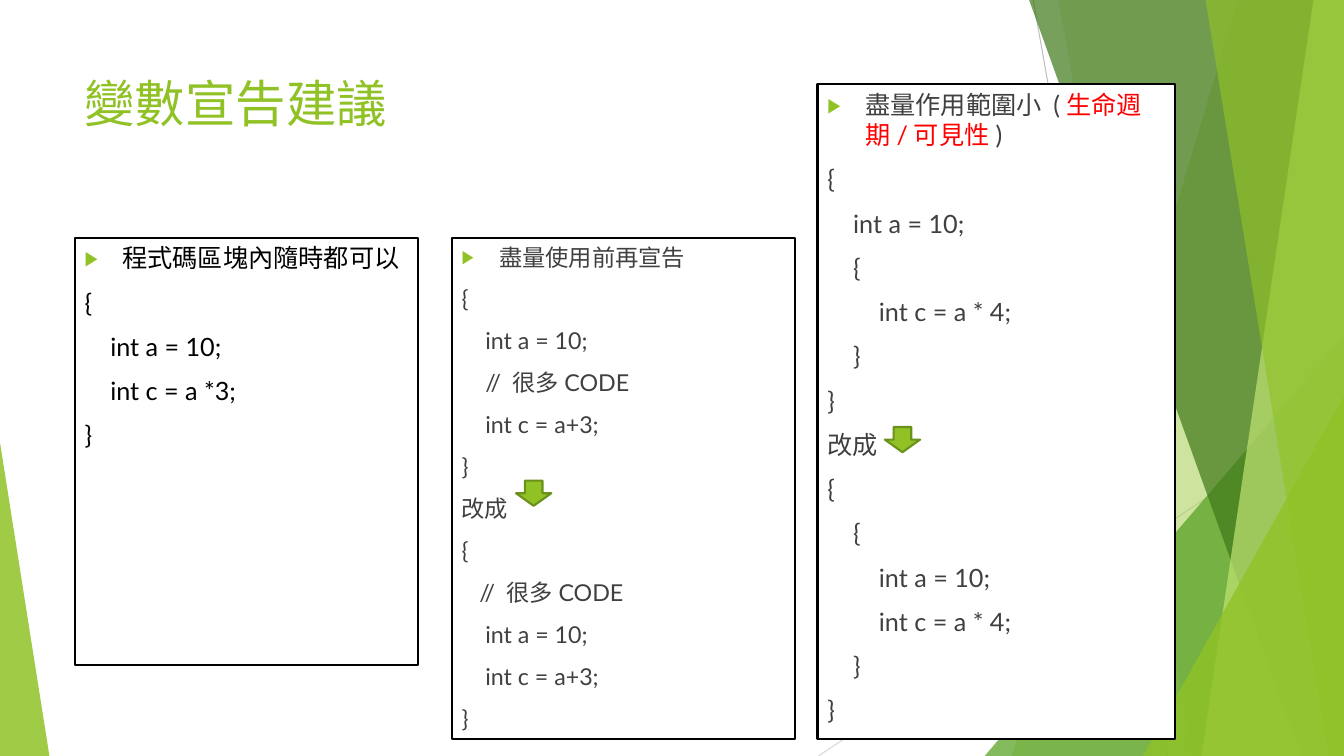
from lxml import etree
from pptx import Presentation
from pptx.dml.color import RGBColor
from pptx.enum.shapes import MSO_CONNECTOR, MSO_SHAPE
from pptx.enum.text import MSO_ANCHOR, PP_ALIGN
from pptx.oxml.ns import qn
from pptx.util import Pt

STRAIGHT = MSO_CONNECTOR.STRAIGHT
RECTANGLE = MSO_SHAPE.RECTANGLE
TRIANGLE = MSO_SHAPE.ISOSCELES_TRIANGLE
DOWN_ARROW = MSO_SHAPE.DOWN_ARROW
TOP = MSO_ANCHOR.TOP
LEFT = PP_ALIGN.LEFT

WIDTH, HEIGHT = 960, 540
GREEN = "90C226"
BLACK = "000000"
GREY = "404040"
RED = "FF0000"

FACETS_BACK = [
    (884.2, 722.9, GREEN, 30),
    (756, 851.8, GREEN, 20),
]
FACETS_FRONT = [
    (735.1, 929.5, "3F7819", 70),
    (938.2, 858.2, "C0E474", 70),
    (861.1, 949, GREEN, 65),
]

ANYWHERE_CODE = """{
    int a = 10;
    int c = a *3;
}"""

LATE_CODE = """{
    int a = 10;
    // 很多CODE
    int c = a+3;
}
改成
{
   // 很多CODE
    int a = 10;
    int c = a+3;
}"""

SCOPE_CODE = """{
    int a = 10;
    {
        int c = a * 4;
    }
}
改成
{
    {
        int a = 10;
        int c = a * 4;
    }
}"""


def color(value):
    return RGBColor.from_string(value)


class FacetSlide:
    font = "Lato"
    bullet = "▶"
    indent = 27
    gap = 10
    border = 1.5

    def __init__(self, slide):
        self.shapes = slide.shapes

    def paint(self, shape, fill, opacity=100, line=None):
        shape.shadow.inherit = False
        shape.fill.solid()
        shape.fill.fore_color.rgb = color(fill)
        if opacity < 100:
            tint = shape.element.spPr.find(qn("a:solidFill")).find(qn("a:srgbClr"))
            etree.SubElement(tint, qn("a:alpha"), val=str(opacity * 1000))
        if line:
            shape.line.color.rgb = color(line)
            shape.line.width = Pt(self.border)
        else:
            shape.line.fill.background()

    def ray(self, x1, y1, x2, y2, tone):
        ray = self.shapes.add_connector(STRAIGHT, Pt(x1), Pt(y1), Pt(x2), Pt(y2))
        ray.line.color.rgb = color(tone)
        ray.line.width = Pt(0.75)
        etree.SubElement(ray.element.spPr, qn("a:effectLst"))

    def facet(self, top_x, bottom_x, tone, opacity):
        outline = self.shapes.build_freeform(Pt(top_x), Pt(0))
        corners = [(WIDTH, 0), (WIDTH, HEIGHT), (bottom_x, HEIGHT)]
        outline.add_line_segments([(Pt(x), Pt(y)) for x, y in corners], close=True)
        self.paint(outline.convert_to_shape(), tone, opacity)

    def wedge(self, left, top, width, apex, tone, opacity):
        wedge = self.shapes.add_shape(
            TRIANGLE, Pt(left), Pt(top), Pt(width), Pt(HEIGHT - top))
        wedge.adjustments[0] = apex
        self.paint(wedge, tone, opacity)

    def add_text(self, paragraph, text, size, tone):
        paragraph.alignment = LEFT
        run = paragraph.add_run()
        run.text = text
        run.font.name = self.font
        run.font.size = Pt(size)
        run.font.color.rgb = color(tone)

    def title(self, left, top, width, height, text):
        frame = self.shapes.add_textbox(
            Pt(left), Pt(top), Pt(width), Pt(height)).text_frame
        frame.word_wrap = True
        self.add_text(frame.paragraphs[0], text, 36, GREEN)

    def add_bullet(self, paragraph):
        props = paragraph._p.get_or_add_pPr()
        props.set("marL", str(Pt(self.indent)))
        props.set("indent", str(-Pt(self.indent)))
        bullet_color = etree.SubElement(props, qn("a:buClr"))
        etree.SubElement(bullet_color, qn("a:srgbClr"), val=GREEN)
        etree.SubElement(props, qn("a:buSzPct"), val="80000")
        etree.SubElement(props, qn("a:buFont"), typeface=self.font)
        etree.SubElement(props, qn("a:buChar"), char=self.bullet)

    def panel(self, left, top, width, height, size, tone, advice, code):
        panel = self.shapes.add_shape(
            RECTANGLE, Pt(left), Pt(top), Pt(width), Pt(height))
        self.paint(panel, "FFFFFF", line=BLACK)
        frame = panel.text_frame
        frame.word_wrap = True
        frame.vertical_anchor = TOP
        heading = frame.paragraphs[0]
        self.add_bullet(heading)
        for text, text_tone in advice:
            self.add_text(heading, text, size, text_tone)
        for code_line in code.splitlines():
            paragraph = frame.add_paragraph()
            paragraph.space_before = Pt(self.gap)
            self.add_text(paragraph, code_line, size, tone)

    def down_arrow(self, left, top):
        arrow = self.shapes.add_shape(DOWN_ARROW, Pt(left), Pt(top), Pt(25.2), Pt(18))
        self.paint(arrow, GREEN, line="6B901C")


def main():
    deck = Presentation()
    deck.slide_width, deck.slide_height = Pt(WIDTH), Pt(HEIGHT)
    page = FacetSlide(deck.slides.add_slide(deck.slide_layouts[6]))

    page.ray(738, 0, 833.8, HEIGHT, "BFBFBF")
    page.ray(WIDTH, 290.2, 584.6, HEIGHT, "D9D9D9")
    for facet in FACETS_BACK:
        page.facet(*facet)
    page.wedge(703.4, 239.8, 256.6, 1, "54A021", 72)
    for facet in FACETS_FRONT:
        page.facet(*facet)
    page.wedge(816.5, 283, 143.5, 1, GREEN, 80)
    page.wedge(0, 316.1, 35.3, 0, GREEN, 85)

    page.title(53.3, 48.2, 676.8, 103.7, "變數宣告建議")
    page.panel(53.3, 169.9, 245, 305.3, 18, BLACK,
               [("程式碼區塊內隨時都可以", BLACK)], ANYWHERE_CODE)
    page.panel(322.6, 169.9, 245, 357.8, 16.6, GREY,
               [("盡量使用前再宣告", GREY)], LATE_CODE)
    page.panel(584, 60.2, 255.4, 467.5, 18, GREY,
               [("盡量作用範圍小 (", GREY), ("生命週期/可見性", RED), (")", GREY)],
               SCOPE_CODE)
    page.down_arrow(368.6, 343.3)
    page.down_arrow(632, 305)

    deck.save("out.pptx")


if __name__ == "__main__":
    main()
